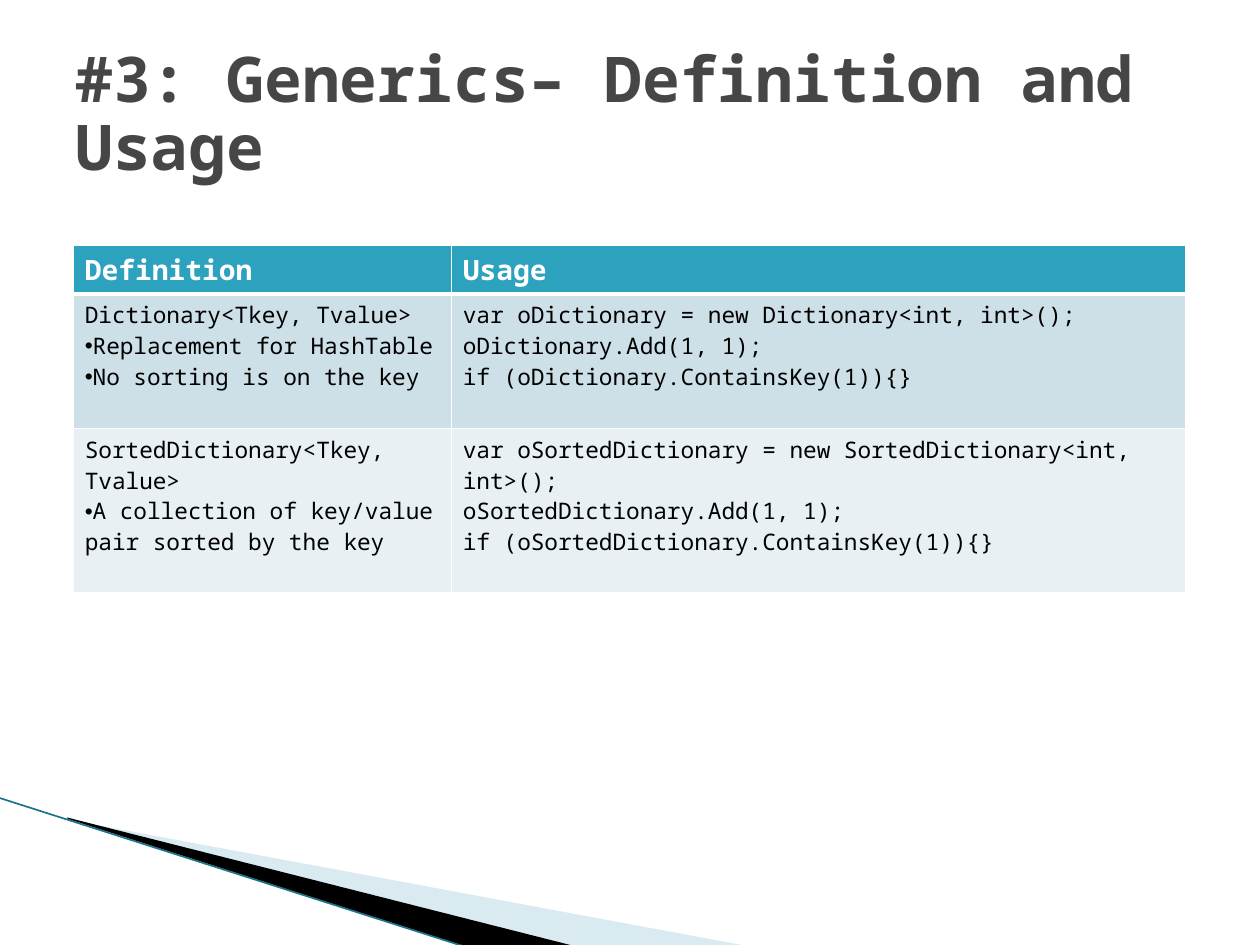
from lxml import etree
from pptx import Presentation
from pptx import util as u
from pptx.dml.color import RGBColor
from pptx.enum import shapes, text
from pptx.oxml import ns

Cm, Pt = u.Cm, u.Pt

WHITE = RGBColor(0xFF, 0xFF, 0xFF)
BLACK = RGBColor(0x00, 0x00, 0x00)
TITLE_GRAY = RGBColor(0x46, 0x46, 0x46)
HEADER_TEAL = RGBColor(0x2D, 0xA2, 0xBF)
BAND_BLUE = RGBColor(0xCD, 0xE0, 0xE8)
BAND_PALE = RGBColor(0xE8, 0xF0, 0xF4)
SWOOSH_BLUE = RGBColor(0xA0, 0xCB, 0xDC)
EDGE_TEAL = RGBColor(0x1B, 0x74, 0x89)

FONT = "Noto Sans Mono"
TITLE_FORMAT = {"name": FONT, "size": Pt(36), "bold": True}
HEADER_FORMAT = {"name": FONT, "size": Pt(16), "bold": True}
BODY_FORMAT = {"name": FONT, "size": Pt(13), "bold": False}
CELL_MARGINS = {"margin_left": Cm(0.23), "margin_right": Cm(0.23),
                "margin_top": Cm(0.11), "margin_bottom": Cm(0.11)}

BULLET = "•"
COLUMN_WIDTHS = (7.62, 14.81)
ROW_HEIGHTS = (0.98, 2.71, 3.3)
ROWS = [
    (["Definition"], ["Usage"]),
    (["Dictionary<Tkey, Tvalue>",
      "•Replacement for HashTable",
      "•No sorting is on the key"],
     ["var oDictionary = new Dictionary<int, int>();",
      "oDictionary.Add(1, 1);",
      "if (oDictionary.ContainsKey(1)){}"]),
    (["SortedDictionary<Tkey, Tvalue>",
      "•A collection of key/value pair sorted by the key"],
     ["var oSortedDictionary = new SortedDictionary<int, int>();",
      "oSortedDictionary.Add(1, 1);",
      "if (oSortedDictionary.ContainsKey(1)){}"]),
]
ROW_STYLES = [
    (HEADER_TEAL, WHITE, HEADER_FORMAT),
    (BAND_BLUE, BLACK, BODY_FORMAT),
    (BAND_PALE, BLACK, BODY_FORMAT),
]


def apply_format(target, values):
    for name, value in values.items():
        setattr(target, name, value)


def add_child(parent, tag, **attributes):
    return etree.SubElement(parent, ns.qn(tag), attributes)


def write_run(paragraph, words, color, values):
    run = paragraph.add_run()
    run.text = words
    apply_format(run.font, values)
    run.font.color.rgb = color


def add_swoosh(slide, points, color, alpha=None):
    corners = [(Cm(x), Cm(y)) for x, y in points]
    builder = slide.shapes.build_freeform(*corners[0])
    builder.add_line_segments(corners[1:], close=True)
    shape = builder.convert_to_shape()
    shape.shadow.inherit = False
    shape.line.fill.background()
    shape.fill.solid()
    shape.fill.fore_color.rgb = color
    if alpha is not None:
        fill_color = shape.fill._xPr.find(".//" + ns.qn("a:srgbClr"))
        add_child(fill_color, "a:alpha", val=str(alpha * 1000))


def add_edge(slide, start, end):
    ends = [Cm(value) for value in (*start, *end)]
    connector = slide.shapes.add_connector(shapes.MSO_CONNECTOR.STRAIGHT, *ends)
    connector.line.color.rgb = EDGE_TEAL
    connector.line.width = Pt(0.95)
    add_child(connector._element.spPr, "a:effectLst")


def add_title(slide, words):
    box = slide.shapes.add_textbox(Cm(1.27), Cm(0.76), Cm(22.86), Cm(3.18))
    apply_format(box.text_frame, {"word_wrap": True,
                                  "vertical_anchor": text.MSO_ANCHOR.MIDDLE})
    paragraph = box.text_frame.paragraphs[0]
    paragraph.line_spacing = 0.9
    write_run(paragraph, words, TITLE_GRAY, TITLE_FORMAT)


def add_borders(cell, bottom, top):
    properties = cell._tc.get_or_add_tcPr()
    widths = {"a:lnL": 1, "a:lnR": 1, "a:lnT": top, "a:lnB": bottom}
    for tag, width in widths.items():
        line = add_child(properties, tag, w=str(Pt(width)))
        add_child(add_child(line, "a:solidFill"), "a:srgbClr", val=str(WHITE))


def fill_cell(cell, lines, style):
    fill, color, values = style
    apply_format(cell, CELL_MARGINS)
    cell.fill.solid()
    cell.fill.fore_color.rgb = fill
    frame = cell.text_frame
    for index, line in enumerate(lines):
        paragraph = frame.add_paragraph() if index else frame.paragraphs[0]
        if line.startswith(BULLET):
            properties = paragraph._p.get_or_add_pPr()
            add_child(properties, "a:buFont", typeface="Arial")
            add_child(properties, "a:buChar", char=BULLET)
        write_run(paragraph, line.removeprefix(BULLET), color, values)


def add_generics_table(slide):
    frame = slide.shapes.add_table(
        len(ROWS), len(COLUMN_WIDTHS), Cm(1.48), Cm(4.95),
        Cm(sum(COLUMN_WIDTHS)), Cm(sum(ROW_HEIGHTS)))
    table = frame.table
    for column, width in zip(table.columns, COLUMN_WIDTHS):
        column.width = Cm(width)
    for index, (row, height) in enumerate(zip(table.rows, ROW_HEIGHTS)):
        row.height = Cm(height)
        for cell, lines in zip(row.cells, ROWS[index]):
            # The heavy rule lies between the header and the first body row
            add_borders(cell, bottom=3 if index == 0 else 1,
                        top=3 if index == 1 else 1)
            fill_cell(cell, lines, ROW_STYLES[index])


def main():
    presentation = Presentation()
    presentation.slide_width, presentation.slide_height = Cm(25.4), Cm(19.05)
    slide = presentation.slides.add_slide(presentation.slide_layouts[6])

    # Corner decoration
    add_swoosh(slide, [(1.4, 16.53), (15.11, 19.08), (11.58, 19.08),
                       (1.4, 16.51)], SWOOSH_BLUE, alpha=40)
    add_swoosh(slide, [(1.35, 16.48), (11.61, 19.08), (9.45, 19.1),
                       (1.37, 16.51)], BLACK)
    add_edge(slide, (-0.03, 16.08), (9.42, 19.1))

    # Title and table
    add_title(slide, "#3: Generics– Definition and Usage")
    add_generics_table(slide)

    presentation.save("out.pptx")


if __name__ == "__main__":
    main()
